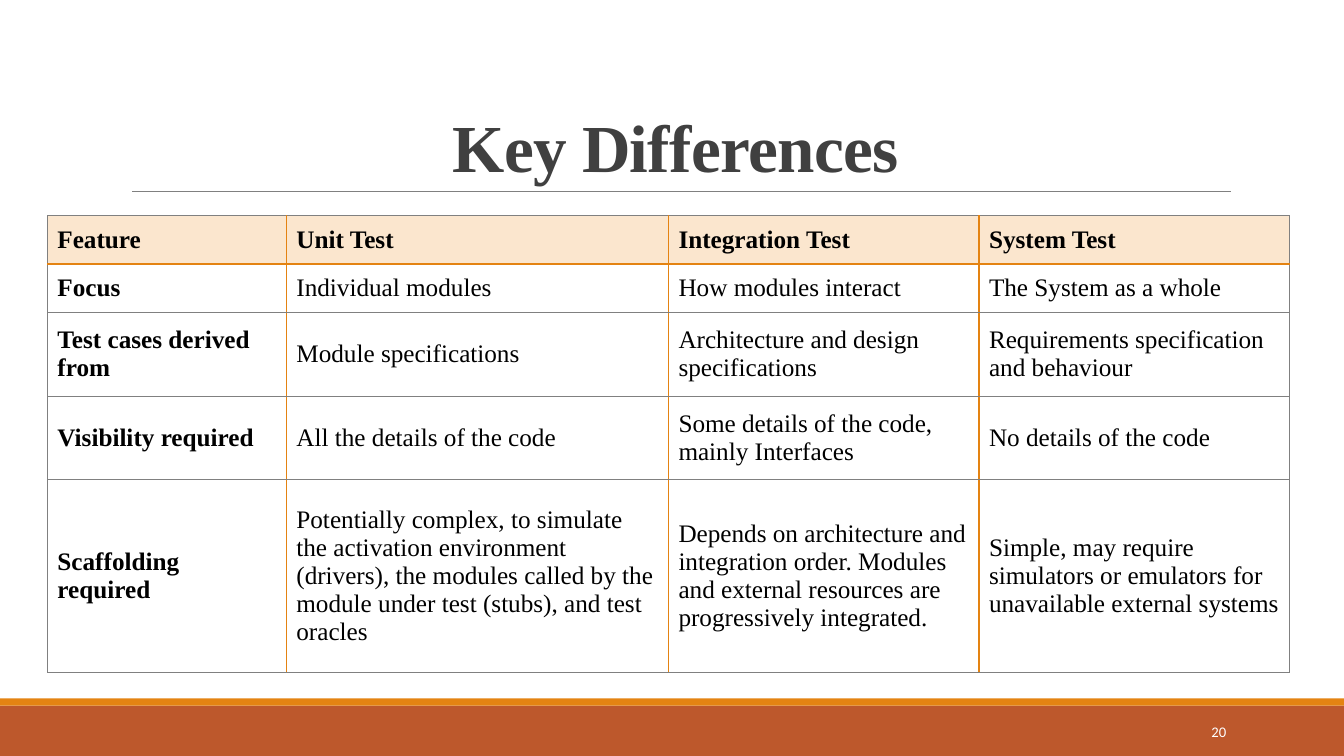
from lxml import etree
from pptx import Presentation
from pptx.dml.color import RGBColor
from pptx.enum.shapes import MSO_CONNECTOR, MSO_SHAPE
from pptx.enum.text import MSO_ANCHOR, PP_ALIGN
from pptx.oxml.ns import qn
from pptx.util import Inches, Pt

RECTANGLE = MSO_SHAPE.RECTANGLE
STRAIGHT = MSO_CONNECTOR.STRAIGHT
MIDDLE, BOTTOM = MSO_ANCHOR.MIDDLE, MSO_ANCHOR.BOTTOM
CENTER, RIGHT = PP_ALIGN.CENTER, PP_ALIGN.RIGHT
SERIF, SANS = "Times New Roman", "Calibri"
COLORS = {
    "rust": "BD582C",
    "orange": "E48312",
    "cream": "FBE6CE",
    "gray": "808080",
    "title": "404040",
    "black": "000000",
    "white": "FFFFFF",
}


def style_text(frame, font_name, size, color, bold=False, align=None):
    frame.word_wrap = True
    para = frame.paragraphs[0]
    para.alignment = align
    font = para.runs[0].font
    font.name = font_name
    font.size = Pt(size)
    font.bold = bold
    font.color.rgb = RGBColor.from_string(COLORS[color])


def add_border(cell, side, color, width):
    properties = cell._tc.get_or_add_tcPr()
    line = etree.SubElement(properties, qn(f"a:ln{side}"), w=str(Pt(width)))
    fill = etree.SubElement(line, qn("a:solidFill"))
    etree.SubElement(fill, qn("a:srgbClr"), val=COLORS[color])


deck = Presentation()
deck.slide_width = Inches(13.33)
deck.slide_height = Inches(7.5)
page = deck.slides.add_slide(deck.slide_layouts[6])

for top, height, color in [(7, 0.5, "rust"), (6.93, 0.07, "orange")]:
    band = page.shapes.add_shape(RECTANGLE, 0, Inches(top), deck.slide_width, Inches(height))
    band.shadow.inherit = False
    band.fill.solid()
    band.fill.fore_color.rgb = RGBColor.from_string(COLORS[color])
    band.line.fill.background()

rule = page.shapes.add_connector(STRAIGHT, Inches(1.31), Inches(1.9), Inches(12.21), Inches(1.9))
rule.line.color.rgb = RGBColor.from_string(COLORS["gray"])
rule.line.width = Pt(0.5)
etree.SubElement(rule._element.spPr, qn("a:effectLst"))

title = page.shapes.add_textbox(Inches(1.2), Inches(0.31), Inches(11), Inches(1.59))
title.text_frame.text = "Key Differences"
title.text_frame.vertical_anchor = BOTTOM
style_text(title.text_frame, SERIF, 48, "title", True, CENTER)
title_para = title.text_frame.paragraphs[0]
title_para.line_spacing = 0.85
title_para.runs[0]._r.get_or_add_rPr().set("spc", "-50")

rows = [
    ["Feature", "Unit Test", "Integration Test", "System Test"],
    ["Focus", "Individual modules", "How modules interact", "The System as a whole"],
    [
        "Test cases derived from",
        "Module specifications",
        "Architecture and design specifications",
        "Requirements specification and behaviour",
    ],
    [
        "Visibility required",
        "All the details of the code",
        "Some details of the code, mainly Interfaces",
        "No details of the code",
    ],
    [
        "Scaffolding required",
        "Potentially complex, to simulate the activation environment (drivers), "
        "the modules called by the module under test (stubs), and test oracles",
        "Depends on architecture and integration order. Modules and external "
        "resources are progressively integrated.",
        "Simple, may require simulators or emulators for unavailable external systems",
    ],
]
column_widths = [2.37, 3.79, 3.08, 3.08]
row_heights = [0.48, 0.48, 0.83, 0.83, 1.91]
last_column = len(column_widths) - 1

table = page.shapes.add_table(
    len(rows), len(column_widths), Inches(0.47), Inches(2.14),
    Inches(sum(column_widths)), Inches(sum(row_heights)),
).table
table.first_row = False
table.horz_banding = False
for column, width in zip(table.columns, column_widths):
    column.width = Inches(width)
for row, height in zip(table.rows, row_heights):
    row.height = Inches(height)

outer = ("gray", 0.5)
inner = ("orange", 1)
heavy = ("orange", 2)
for row_index, texts in enumerate(rows):
    for column_index, text in enumerate(texts):
        cell = table.cell(row_index, column_index)
        cell.text = text
        cell.vertical_anchor = MIDDLE
        is_header = row_index == 0
        style_text(cell.text_frame, SERIF, 18, "black", is_header or column_index == 0)
        borders = {
            "L": outer if column_index == 0 else inner,
            "R": outer if column_index == last_column else inner,
            "T": heavy if row_index == 1 else outer,
            "B": heavy if is_header else outer,
        }
        for side, (color, width) in borders.items():
            add_border(cell, side, color, width)
        if is_header:
            cell.fill.solid()
            cell.fill.fore_color.rgb = RGBColor.from_string(COLORS["cream"])
        else:
            cell.fill.background()

number = page.shapes.add_textbox(Inches(10.83), Inches(7.06), Inches(1.43), Inches(0.4))
number.text_frame.text = "20"
number.text_frame.vertical_anchor = MIDDLE
style_text(number.text_frame, SANS, 10.5, "white", align=RIGHT)

deck.save("out.pptx")
